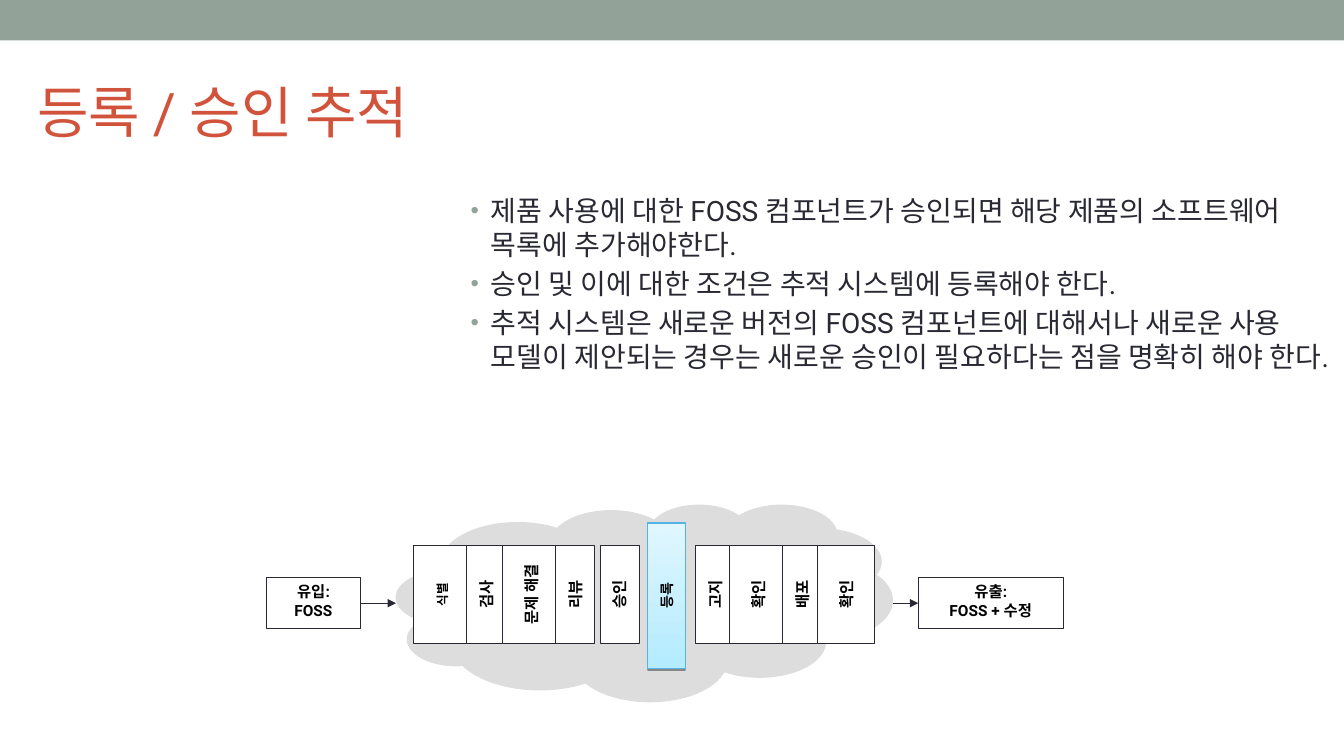
from lxml.etree import SubElement
from pptx import Presentation
from pptx.dml.color import RGBColor
from pptx.enum.shapes import MSO_CONNECTOR, MSO_SHAPE
from pptx.enum.text import MSO_ANCHOR, MSO_AUTO_SIZE, PP_ALIGN
from pptx.oxml.ns import qn
from pptx.util import Cm, Pt

COLORS = {
    "band": "93A299", "title": "D2533C", "body": "292934", "label": "000000",
    "box": "FFFFFF", "line": "292934", "cloud": "DDDDDD",
    "deep": "B4EBFF", "pale": "E0F7FF", "edge": "55B4E5",
}
FONTS = {
    "title": {"name": "Roboto", "size": Pt(40), "bold": False},
    "body": {"name": "Roboto", "size": Pt(20)},
    "label": {"name": "Roboto", "size": Pt(11), "bold": True},
}
FRAMES = {
    "title": {"margin_left": Cm(0.25), "margin_right": Cm(0.25), "margin_top": Cm(0.13),
              "margin_bottom": Cm(0.13), "vertical_anchor": MSO_ANCHOR.MIDDLE,
              "word_wrap": True, "auto_size": MSO_AUTO_SIZE.NONE},
    "body": {"margin_left": Cm(0.71), "margin_right": Cm(0.51), "margin_top": Cm(0.51),
             "margin_bottom": Cm(0.61), "word_wrap": True},
    "label": {"margin_left": Cm(0.25), "margin_right": Cm(0.25), "margin_top": Cm(0.13),
              "margin_bottom": Cm(0.13), "word_wrap": True},
}
RULES = [
    "제품 사용에 대한 FOSS 컴포넌트가 승인되면 해당 제품의 소프트웨어 목록에 추가해야한다.",
    "승인 및 이에 대한 조건은 추적 시스템에 등록해야 한다.",
    "추적 시스템은 새로운 버전의 FOSS 컴포넌트에 대해서나 새로운 사용 모델이 제안되는 경우는 "
    "새로운 승인이 필요하다는 점을 명확히 해야 한다.",
]
NARROW, WIDE = 0.99, 1.45
STEP_GROUPS = [
    (11.14, 1.12, [("식별", WIDE, 9), ("검사", NARROW, 11), ("문제 해결", WIDE, 11),
                   ("리뷰", NARROW, 11), ("승인", NARROW, 11)]),
    (18.02, 1.1, [("고지", NARROW, 11), ("확인", WIDE, 11),
                  ("배포", NARROW, 11), ("확인", WIDE, 11)]),
]
STEP_LENGTH, STEP_MIDDLE = 2.46, 14.98
FLOW_Y = 15.2


def color(key):
    return RGBColor.from_string(COLORS[key])


def apply(target, values):
    for attribute, value in values.items():
        setattr(target, attribute, value)


def write(shape, lines, style, align, size=None):
    frame = shape.text_frame
    apply(frame, FRAMES[style])
    for index, line in enumerate(lines):
        paragraph = frame.paragraphs[0] if index == 0 else frame.add_paragraph()
        paragraph.alignment = align
        run = paragraph.add_run()
        run.text = line
        apply(run.font, FONTS[style])
        run.font.color.rgb = color(style)
        if size:
            run.font.size = Pt(size)


def add_block(slide, kind, bounds, fill, line=None):
    block = slide.shapes.add_shape(kind, *map(Cm, bounds))
    block.shadow.inherit = False
    block.fill.solid()
    block.fill.fore_color.rgb = color(fill)
    if line:
        block.line.color.rgb = color(line)
        block.line.width = Pt(0.75)
    else:
        block.line.fill.background()
    return block


def upright(center_x, center_y, length, thickness):
    return center_x - length / 2, center_y - thickness / 2, length, thickness


def add_step(slide, name, center_x, thickness, size):
    bounds = upright(center_x, STEP_MIDDLE, STEP_LENGTH, thickness)
    step = add_block(slide, MSO_SHAPE.RECTANGLE, bounds, "box", "line")
    step.rotation = 270
    write(step, [name], "label", PP_ALIGN.CENTER, size)
    step.text_frame.vertical_anchor = MSO_ANCHOR.MIDDLE


def add_current_step(slide, name):
    bar = add_block(slide, MSO_SHAPE.RECTANGLE, (16.33, 13.18, 0.94, 3.66), "pale", "edge")
    bar.fill.gradient()
    bar.fill.gradient_angle = 90
    for stop, key in zip(bar.fill.gradient_stops, ("deep", "pale")):
        stop.color.rgb = color(key)
    effects = bar._element.spPr.find(qn("a:effectLst"))
    shade = SubElement(effects, qn("a:outerShdw"), blurRad="0", dist=str(Pt(1.6)),
                       dir="5400000", rotWithShape="0")
    black = SubElement(shade, qn("a:srgbClr"), val="000000")
    SubElement(black, qn("a:alpha"), val="38000")

    label = slide.shapes.add_textbox(*map(Cm, upright(16.8, 15, 3.66, 0.94)))
    label.rotation = 270
    write(label, [name], "label", PP_ALIGN.CENTER, 10)
    label.text_frame.vertical_anchor = MSO_ANCHOR.MIDDLE


def add_line(slide, start_x, end_x, y, arrow=True):
    line = slide.shapes.add_connector(MSO_CONNECTOR.STRAIGHT, Cm(start_x), Cm(y), Cm(end_x), Cm(y))
    line.line.color.rgb = color("line")
    line.line.width = Pt(0.75)
    if arrow:
        SubElement(line.line._get_or_add_ln(), qn("a:tailEnd"), type="triangle", w="med", len="med")
    SubElement(line._element.spPr, qn("a:effectLst"))
    return line


def add_endpoint(slide, left, width, lines):
    endpoint = add_block(slide, MSO_SHAPE.RECTANGLE, (left, FLOW_Y - 0.65, width, 1.3), "box", "line")
    write(endpoint, lines, "label", PP_ALIGN.CENTER)
    endpoint.text_frame.vertical_anchor = MSO_ANCHOR.TOP
    return endpoint


def add_rules(slide):
    rules = slide.shapes.add_textbox(Cm(11.15), Cm(4.37), Cm(22.71), Cm(8.46))
    write(rules, RULES, "body", PP_ALIGN.LEFT)
    for index, paragraph in enumerate(rules.text_frame.paragraphs):
        if index:
            paragraph.space_before = Pt(4)
        properties = paragraph._p.get_or_add_pPr()
        properties.set("marL", str(Cm(0.51)))
        properties.set("indent", str(Cm(-0.51)))
        bullet_color = SubElement(properties, qn("a:buClr"))
        SubElement(bullet_color, qn("a:srgbClr"), val=COLORS["band"])
        SubElement(properties, qn("a:buSzPct"), val="85000")
        SubElement(properties, qn("a:buFont"), typeface="Arial")
        SubElement(properties, qn("a:buChar"), char="•")


def add_title(slide, text):
    title = slide.shapes.title
    apply(title, {"left": Cm(0.69), "top": Cm(1.42), "width": Cm(30.48), "height": Cm(2.74)})
    write(title, [text], "title", PP_ALIGN.LEFT)


def add_process(slide):
    cloud = add_block(slide, MSO_SHAPE.CLOUD_CALLOUT, (9.98, 12.7, 12.52, 17.68 - 12.7), "cloud")
    cloud.adjustments[0] = -0.007
    cloud.adjustments[1] = 0.116
    outflow = add_line(slide, 22.5, 23.14, FLOW_Y)
    add_current_step(slide, "등록")
    for first, pitch, steps in STEP_GROUPS:
        for index, (name, thickness, size) in enumerate(steps):
            add_step(slide, name, first + index * pitch, thickness, size)
    add_line(slide, 10.62, 10.62, 15.01, arrow=False)
    entry = add_endpoint(slide, 6.71, 2.38, ["유입:", "FOSS"])
    inflow = add_line(slide, 9.09, 9.98, FLOW_Y)
    inflow.begin_connect(entry, 3)
    release = add_endpoint(slide, 23.14, 3.66, ["유출:", "FOSS + 수정"])
    outflow.end_connect(release, 1)


def main():
    presentation = Presentation()
    presentation.slide_width = Cm(33.87)
    presentation.slide_height = Cm(19.05)
    slide = presentation.slides.add_slide(presentation.slide_layouts[5])
    add_block(slide, MSO_SHAPE.RECTANGLE, (0, 0, 33.87, 1.02), "band")
    add_title(slide, "등록 / 승인 추적")
    add_rules(slide)
    add_process(slide)
    presentation.save("out.pptx")


if __name__ == "__main__":
    main()
